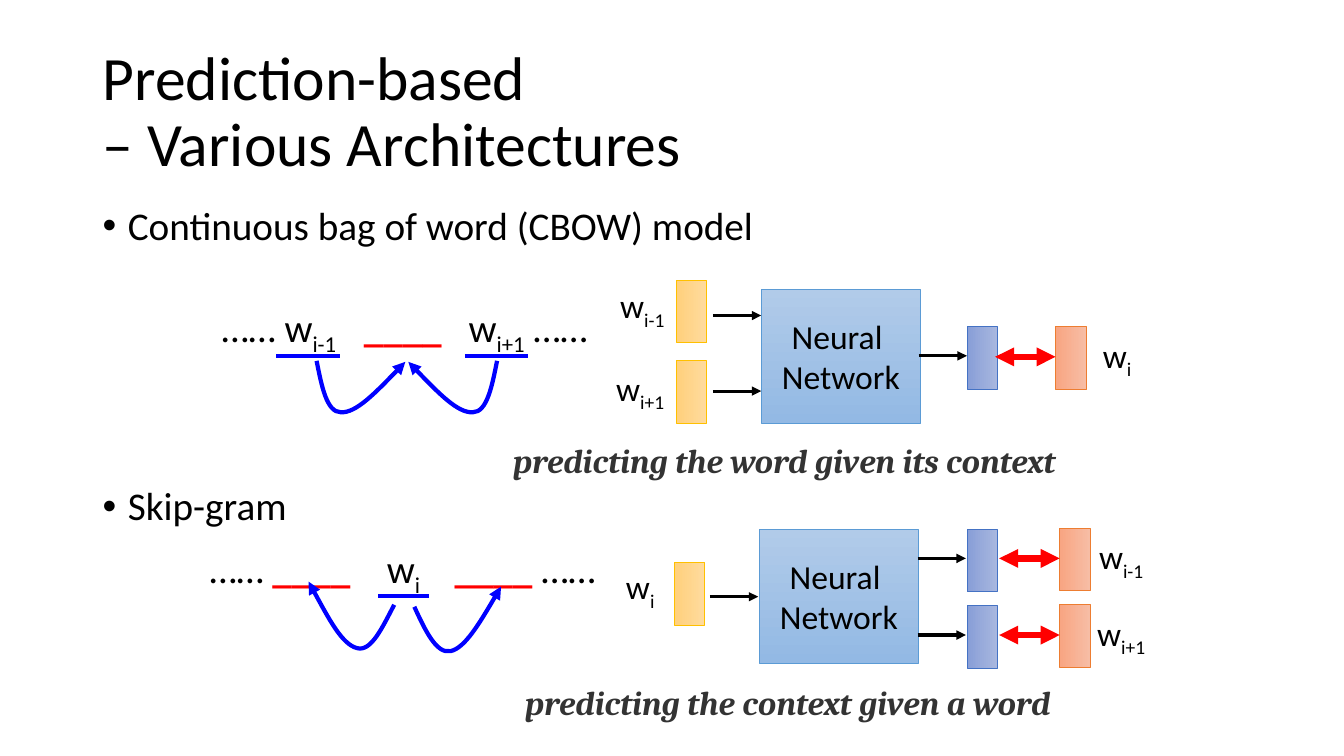
from lxml.etree import SubElement
from pptx import Presentation
from pptx.dml.color import RGBColor
from pptx.enum.shapes import MSO_CONNECTOR, MSO_SHAPE
from pptx.enum.text import MSO_ANCHOR, MSO_AUTO_SIZE, PP_ALIGN
from pptx.oxml.ns import qn
from pptx.util import Inches, Pt

COLORS = {"text": "000000", "blank": "FF0000", "context": "0000FF", "caption": "333333"}
# Gradient start, gradient end, outline
FILLS = {
    "network": ("B1CBE9", "93B9E4", "5B9BD5"),
    "input": ("FFDB9E", "FFD07C", "FFC000"),
    "output": ("A8B7DF", "889ED7", "4472C4"),
    "target": ("F7BDA5", "F8A582", "ED7D31"),
}
BODY = {"name": "Calibri", "size": Pt(28)}
LABEL = {"name": "Calibri", "size": Pt(24)}
TITLE = {"name": "Calibri", "size": Pt(44)}
CAPTION = {"name": "Cambria", "size": Pt(24), "bold": True, "italic": True}
BLANK = ("____", "blank")


def rgb(name):
    return RGBColor.from_string(COLORS.get(name, name))


def style(r, fmt, color="text"):
    for key, value in fmt.items():
        setattr(r.font, key, value)
    r.font.color.rgb = rgb(color)


def add_runs(p, pieces, fmt):
    """Each piece is (text, role), where role is text, sub, blank or caption."""
    for text, role in pieces:
        r = p.add_run()
        r.text = text
        style(r, fmt, role if role in COLORS else "text")
        if role == "sub":
            r.font._element.set("baseline", "-25000")
        elif role == "blank":
            r.font.bold = True


def style_line(line, color, width, ends):
    line.color.rgb = rgb(color)
    line.width = Pt(width)
    for end in ends:
        SubElement(line._get_or_add_ln(), qn(f"a:{end}"), type="triangle")


class Region:
    """Draws on the slide relative to the left and top of one region."""

    def __init__(self, slide, left, top):
        self.shapes, self.left, self.top = slide.shapes, left, top

    def at(self, x, y):
        return Inches(self.left + x), Inches(self.top + y)

    def text(self, x, y, w, h, pieces, fmt, align=PP_ALIGN.LEFT):
        tf = self.shapes.add_textbox(*self.at(x, y), Inches(w), Inches(h)).text_frame
        tf.word_wrap = True
        p = tf.paragraphs[0]
        p.alignment = align
        add_runs(p, pieces, fmt)
        return p

    def sentence(self, x, y, pieces, stops):
        p = self.text(x, y, 4.2, 0.57, pieces, BODY)
        tabs = SubElement(p._p.get_or_add_pPr(), qn("a:tabLst"))
        for stop in stops:
            SubElement(tabs, qn("a:tab"), pos=str(Inches(stop)), algn="l")

    def word(self, x, y, index):
        self.text(x, y, 0.78, 0.5, [("w", "text"), (index, "sub")], LABEL, PP_ALIGN.CENTER)

    def caption(self, x, y, text):
        self.text(x, y, 6.5, 0.5, [(text, "caption")], CAPTION)

    def line(self, x, y, length, color="text", width=2.25, ends=("tailEnd",)):
        sp = self.shapes.add_connector(
            MSO_CONNECTOR.STRAIGHT, *self.at(x, y), *self.at(x + length, y))
        style_line(sp.line, color, width, ends)
        SubElement(sp._element.spPr, qn("a:effectLst"))

    def underline(self, x, y, length):
        self.line(x, y, length, "context", 3, ())

    def compare(self, x, y):
        self.line(x, y, 0.6, "blank", 4.5, ("headEnd", "tailEnd"))

    def curve(self, points):
        """Arrow along Bezier segments: a start, then three points for each."""
        start, *rest = [self.at(*pt) for pt in points]
        builder = self.shapes.build_freeform(*start)
        builder.add_line_segments(rest, close=False)
        sp = builder.convert_to_shape()
        sp.shadow.inherit = False
        sp.fill.background()
        style_line(sp.line, "context", 3, ("tailEnd",))
        outline = next(sp._element.iter(qn("a:path")))
        steps = outline.findall(qn("a:lnTo"))
        for i in range(0, len(steps), 3):
            bezier = SubElement(outline, qn("a:cubicBezTo"))
            for step in steps[i:i + 3]:
                bezier.append(step[0])
                outline.remove(step)

    def box(self, x, y, w, h, kind):
        start, end, edge = FILLS[kind]
        sp = self.shapes.add_shape(MSO_SHAPE.RECTANGLE, *self.at(x, y), Inches(w), Inches(h))
        sp.shadow.inherit = False
        sp.fill.gradient()
        sp.fill.gradient_angle = 270
        for stop, color in zip(sp.fill.gradient_stops, (start, end)):
            stop.color.rgb = rgb(color)
        style_line(sp.line, edge, 0.5, ())
        return sp

    def vector(self, cx, cy, kind):
        self.box(cx - 0.31, cy - 0.15, 0.62, 0.3, kind).rotation = 90

    def network(self, x, y):
        tf = self.box(x, y, 1.58, 1.33, "network").text_frame
        tf.vertical_anchor = MSO_ANCHOR.MIDDLE
        for p, text in ((tf.paragraphs[0], "Neural "), (tf.add_paragraph(), "Network")):
            p.alignment = PP_ALIGN.CENTER
            add_runs(p, [(text, "text")], LABEL)


def add_title(slide, left, top, width, height):
    sp = slide.shapes.title
    place = {"left": left, "top": top, "width": width, "height": height}
    for key, value in place.items():
        setattr(sp, key, Inches(value))
    tf = sp.text_frame
    tf.text = "Prediction-based\v– Various Architectures"
    tf.auto_size = MSO_AUTO_SIZE.NONE
    tf.vertical_anchor = MSO_ANCHOR.MIDDLE
    p = tf.paragraphs[0]
    p.alignment, p.line_spacing = PP_ALIGN.LEFT, 0.9
    for r in p.runs:
        style(r, TITLE)


def add_bullets(slide, left, top, width, height):
    tf = slide.shapes.add_textbox(*map(Inches, (left, top, width, height))).text_frame
    tf.word_wrap = True
    items = [("Continuous bag of word (CBOW) model", 0), ("Skip-gram", 170)]
    for i, (text, gap) in enumerate(items):
        p = tf.add_paragraph() if i else tf.paragraphs[0]
        p.line_spacing, p.space_before = 0.9, Pt(gap)
        add_runs(p, [(text, "text")], BODY)
        pPr = p._p.get_or_add_pPr()
        pPr.set("marL", str(Inches(0.25)))
        pPr.set("indent", str(-Inches(0.25)))
        SubElement(pPr, qn("a:buFont"), typeface="Arial")
        SubElement(pPr, qn("a:buChar"), char="•")


def add_cbow(slide, left, top):
    g = Region(slide, left, top)
    # Sentence with a missing word
    g.sentence(0.6, 0.46, [("…… w", "text"), ("i-1", "sub"), ("\t", "text"), BLANK,
                           ("\tw", "text"), ("i+1", "sub"), (" ……", "text")], (1.41, 2.45))
    for x in (1.24, 3.11):
        g.underline(x, 1.03, 0.63)
    arc = [(0, 0), (0.05, 0.25), (0.1, 0.51), (0.24, 0.51),
           (0.39, 0.52), (0.63, 0.27), (0.88, 0.01)]
    for x, side in ((1.64, 1), (3.43, -1)):
        g.curve([(x + side * dx, 1.08 + dy) for dx, dy in arc])
    # Network with two inputs and one output
    g.network(6.05, 0.37)
    for cy, arrow_y in ((0.59, 0.63), (1.39, 1.38)):
        g.vector(5.36, cy, "input")
        g.line(5.57, arrow_y, 0.48)
    g.word(4.48, 0.28, "i-1")
    g.word(4.46, 1.1, "i+1")
    g.vector(9.12, 1.05, "target")
    g.vector(8.24, 1.05, "output")
    g.line(7.61, 1.03, 0.48)
    g.compare(8.37, 1.04)
    g.word(9.19, 0.77, "i")
    g.caption(3.49, 1.82, "predicting the word given its context")


def add_skip_gram(slide, left, top):
    g = Region(slide, left, top)
    # Sentence with missing neighbours
    g.sentence(0.48, 0.35, [("…… ", "text"), BLANK, ("\tw", "text"), ("i", "sub"),
                            ("\t", "text"), BLANK, (" ……", "text")], (1.76, 2.43))
    g.curve([(2.41, 1), (2.29, 1.23), (2.18, 1.47), (2.04, 1.43),
             (1.89, 1.39), (1.73, 1.08), (1.56, 0.77)])
    g.underline(2.25, 0.91, 0.5)
    g.curve([(2.61, 1.02), (2.72, 1.26), (2.83, 1.49), (2.97, 1.46),
             (3.11, 1.43), (3.29, 1.13), (3.47, 0.82)])
    # Network with one input and two outputs
    g.network(6.03, 0.25)
    g.vector(5.34, 0.89, "input")
    g.line(5.54, 0.92, 0.48)
    g.word(4.46, 0.57, "i")
    for y, index in ((0.54, "i-1"), (1.3, "i+1")):
        g.vector(8.24, y + 0.02, "output")
        g.vector(9.16, y + 0.01, "target")
        g.line(7.6, y, 0.48)
        g.compare(8.41, y)
        g.word(9.23, y - 0.27, index)
    g.caption(3.61, 1.72, "predicting the context given a word")


def main():
    prs = Presentation()
    prs.slide_width, prs.slide_height = Inches(13.33), Inches(7.5)
    slide = prs.slides.add_slide(prs.slide_layouts[5])
    add_title(slide, 0.92, 0.4, 11.5, 1.45)
    add_bullets(slide, 0.92, 2, 11.5, 4.76)
    add_cbow(slide, 1.5, 2.5)
    add_skip_gram(slide, 1.5, 5)
    prs.save("out.pptx")


if __name__ == "__main__":
    main()
